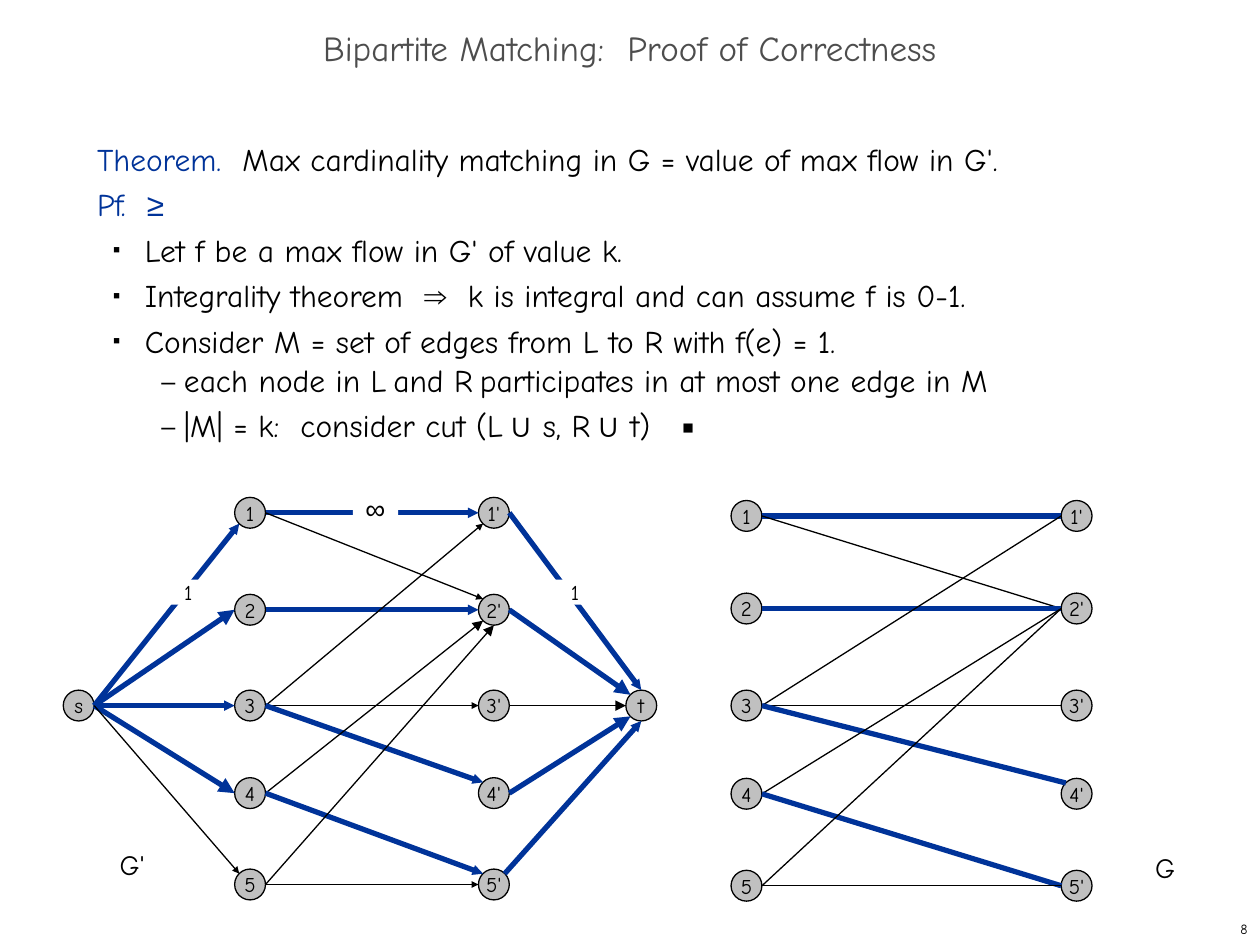
"""Build the bipartite matching slide: theorem, flow network G' and graph G."""
from lxml import etree
from pptx import Presentation
from pptx.dml.color import RGBColor
from pptx.enum.shapes import MSO_CONNECTOR, MSO_SHAPE
from pptx.enum.text import MSO_ANCHOR, MSO_AUTO_SIZE, PP_ALIGN
from pptx.oxml.ns import qn
from pptx.util import Inches, Pt

COLORS = {name: RGBColor.from_string(value) for name, value in {
    "black": "000000", "blue": "003399", "title": "4D4D4D",
    "node": "C0C0C0", "white": "FFFFFF"}.items()}
STRAIGHT = MSO_CONNECTOR.STRAIGHT
OVAL, RECTANGLE = MSO_SHAPE.OVAL, MSO_SHAPE.RECTANGLE
LEFT, CENTER, RIGHT = PP_ALIGN.LEFT, PP_ALIGN.CENTER, PP_ALIGN.RIGHT
TOP, MIDDLE = MSO_ANCHOR.TOP, MSO_ANCHOR.MIDDLE
NO_FIT = MSO_AUTO_SIZE.NONE
FONT, SYMBOL_FONT = "Comic Neue", "Arial"

presentation = Presentation()
presentation.slide_width = Inches(10)
presentation.slide_height = Inches(7.5)
unit = presentation.slide_width / 100
slide = presentation.slides.add_slide(presentation.slide_layouts[1])


def add_run(paragraph, text, size, color="black", font=FONT):
    run = paragraph.add_run()
    run.text = text
    run.font.size = Pt(size)
    run.font.name = font
    run.font.color.rgb = COLORS[color]
    return run


def place(shape, left, top, width, height, anchor=TOP, wrap=True, margin=1):
    shape.left, shape.top = round(left * unit), round(top * unit)
    shape.width, shape.height = round(width * unit), round(height * unit)
    frame = shape.text_frame
    frame.auto_size = NO_FIT
    frame.word_wrap = wrap
    frame.vertical_anchor = anchor
    frame.margin_left = frame.margin_right = round(margin * unit)
    frame.margin_top = frame.margin_bottom = round(margin * unit / 2)
    return frame.paragraphs[0]


title = place(slide.shapes.title, 0, 1.7, 100, 5, MIDDLE)
title.alignment = CENTER
title.line_spacing = 0.7
add_run(title, "Bipartite Matching:  Proof of Correctness", 20, "title")

body = slide.placeholders[1]
place(body, 6.7, 10, 85.8, 59.2)
bullets = {0: (0, 0, None, None), 1: (3.8, -2.5, "■", 35), 2: (6.9, -1.8, "–", 80)}
lines = [
    (0, [("Theorem.  ", "blue"),
         ("Max cardinality matching in G = value of max flow in G'.", "black")]),
    (0, [("Pf.  ", "blue"), ("≥", "blue")]),
    (1, [("Let f be a max flow in G' of value k.", "black")]),
    (1, [("Integrality theorem  ", "black"), ("⇒", "black"),
         ("  k is integral and can assume f is 0-1.", "black")]),
    (1, [("Consider M = set of edges from L to R with f(e) = 1.", "black")]),
    (2, [("each node in L", "black"), (" ", "black"), ("and R", "black"),
         (" ", "black"), ("participates in at most one edge in M", "black")]),
    (2, [("|M| = k:  consider cut (L", "black"), (" ", "black"), ("∪", "black"),
         (" s, R", "black"), (" ", "black"), ("∪", "black"), (" t)   ▪", "black")]),
]
for index, (level, runs) in enumerate(lines):
    frame = body.text_frame
    paragraph = frame.add_paragraph() if index else frame.paragraphs[0]
    paragraph.level = level
    margin, indent, mark, percent = bullets[level]
    properties = paragraph._p.get_or_add_pPr()
    properties.set("marL", str(round(margin * unit)))
    properties.set("indent", str(round(indent * unit)))
    if mark:
        bullet_color = etree.SubElement(properties, qn("a:buClr"))
        etree.SubElement(bullet_color, qn("a:srgbClr"), val=str(COLORS["black"]))
        etree.SubElement(properties, qn("a:buSzPct"), val=str(percent * 1000))
        etree.SubElement(properties, qn("a:buFont"), typeface=SYMBOL_FONT)
        etree.SubElement(properties, qn("a:buChar"), char=mark)
    else:
        etree.SubElement(properties, qn("a:buNone"))
    paragraph.alignment = LEFT
    paragraph.line_spacing = Pt(26)
    paragraph.space_before = Pt(0)
    for text, color in runs:
        subscript = text == " "
        font = SYMBOL_FONT if text in "≥⇒∪" else FONT
        run = add_run(paragraph, text, 20 if subscript else 18, color, font)
        if subscript:
            run._r.get_or_add_rPr().set("baseline", "-25000")

diameter = 2.45
network_rows = [40.7, 48.4, 56, 62.95, 70.2]
graph_rows = [40.95, 48.3, 56, 63, 70.3]
nodes = {("G'", "s"): (6.25, 56), ("G'", "t"): (50.9, 56)}
for graph, rows, left_column, right_column in [
        ("G'", network_rows, 19.85, 39.2), ("G", graph_rows, 59.25, 85.45)]:
    for number, row in enumerate(rows, 1):
        nodes[graph, f"{number}"] = (left_column, row)
        nodes[graph, f"{number}'"] = (right_column, row)

for (graph, label), (x, y) in nodes.items():
    node = slide.shapes.add_shape(OVAL, 0, 0, 0, 0)
    node.shadow.inherit = False
    node.fill.solid()
    node.fill.fore_color.rgb = COLORS["node"]
    node.line.color.rgb = COLORS["black"]
    node.line.width = Pt(0.75)
    paragraph = place(node, x - diameter / 2, y - diameter / 2,
                      diameter, diameter, MIDDLE, False)
    paragraph.alignment = CENTER
    add_run(paragraph, label, 12)

sites = {"left": (-0.5, 0), "right": (0.5, 0), "top": (0, -0.5), "bottom": (0, 0.5),
         "top left": (-0.35, -0.35), "bottom left": (-0.35, 0.35),
         "top right": (0.35, -0.35)}
matching = {("1", "1'"), ("2", "2'"), ("3", "4'"), ("4", "5'")}
middle_edges = [
    ("1", "1'", "left"), ("1", "2'", "top left"), ("2", "2'", "left"),
    ("3", "1'", "bottom left"), ("3", "3'", "left"), ("3", "4'", "top left"),
    ("4", "2'", "bottom left"), ("4", "5'", "top left"),
    ("5", "2'", "bottom"), ("5", "5'", "left")]
outer_edges = [
    ("s", "1", "bottom left"), ("s", "2", "left"), ("s", "3", "left"),
    ("s", "4", "left"), ("s", "5", "top left"),
    ("1'", "t", "top"), ("2'", "t", "top left"), ("3'", "t", "left"),
    ("4'", "t", "bottom left"), ("5'", "t", "bottom")]
flow = matching | {(start, end) for start, end, site in outer_edges}
flow -= {("s", "5"), ("3'", "t")}
large_heads = {("s", "2"), ("s", "4"), ("2'", "t"), ("3'", "t"), ("4'", "t"),
               ("4", "2'"), ("5", "2'")}

edges = [("G'", *edge) for edge in middle_edges + outer_edges]
edges += [("G", start, end, site if end == "4'" else "left")
          for start, end, site in middle_edges]
for graph, start, end, end_site in edges:
    start_site = "top right" if (start, end) == ("5'", "t") else "right"
    points = []
    for label, site in [(start, start_site), (end, end_site)]:
        for center, share in zip(nodes[graph, label], sites[site]):
            points.append(round((center + share * diameter) * unit))
    edge = slide.shapes.add_connector(STRAIGHT, *points)
    carries_flow = (start, end) in flow
    edge.line.color.rgb = COLORS["blue" if carries_flow else "black"]
    edge.line.width = Pt(3 if carries_flow else 0.75)
    if graph == "G'":
        size = "med" if (start, end) in large_heads else "sm"
        etree.SubElement(edge.line._get_or_add_ln(), qn("a:tailEnd"),
                         type="triangle", w=size, len=size)
    etree.SubElement(edge._element.spPr, qn("a:effectLst"))

for text, left, top, width, height, size, font in [
        ("1", 13.1, 46, 3.7, 2, 12, FONT), ("1", 43.8, 46, 3.7, 2, 12, FONT),
        ("∞", 28, 39, 3.6, 2.7, 16, SYMBOL_FONT)]:
    capacity = slide.shapes.add_shape(RECTANGLE, 0, 0, 0, 0)
    capacity.shadow.inherit = False
    capacity.fill.solid()
    capacity.fill.fore_color.rgb = COLORS["white"]
    capacity.line.fill.background()
    paragraph = place(capacity, left, top, width, height, margin=0)
    paragraph.alignment = CENTER
    add_run(paragraph, text, size, font=font)

for text, left, top, width, height, size, anchor, alignment in [
        ("G'", 8.5, 66.8, 6.1, 3.7, 16, TOP, LEFT),
        ("G", 90.7, 67, 6.1, 3.7, 16, TOP, LEFT),
        ("8", 79.2, 72.5, 20.8, 2.5, 8, MIDDLE, RIGHT)]:
    paragraph = place(slide.shapes.add_textbox(0, 0, 0, 0),
                      left, top, width, height, anchor)
    paragraph.alignment = alignment
    add_run(paragraph, text, size)

presentation.save("out.pptx")
